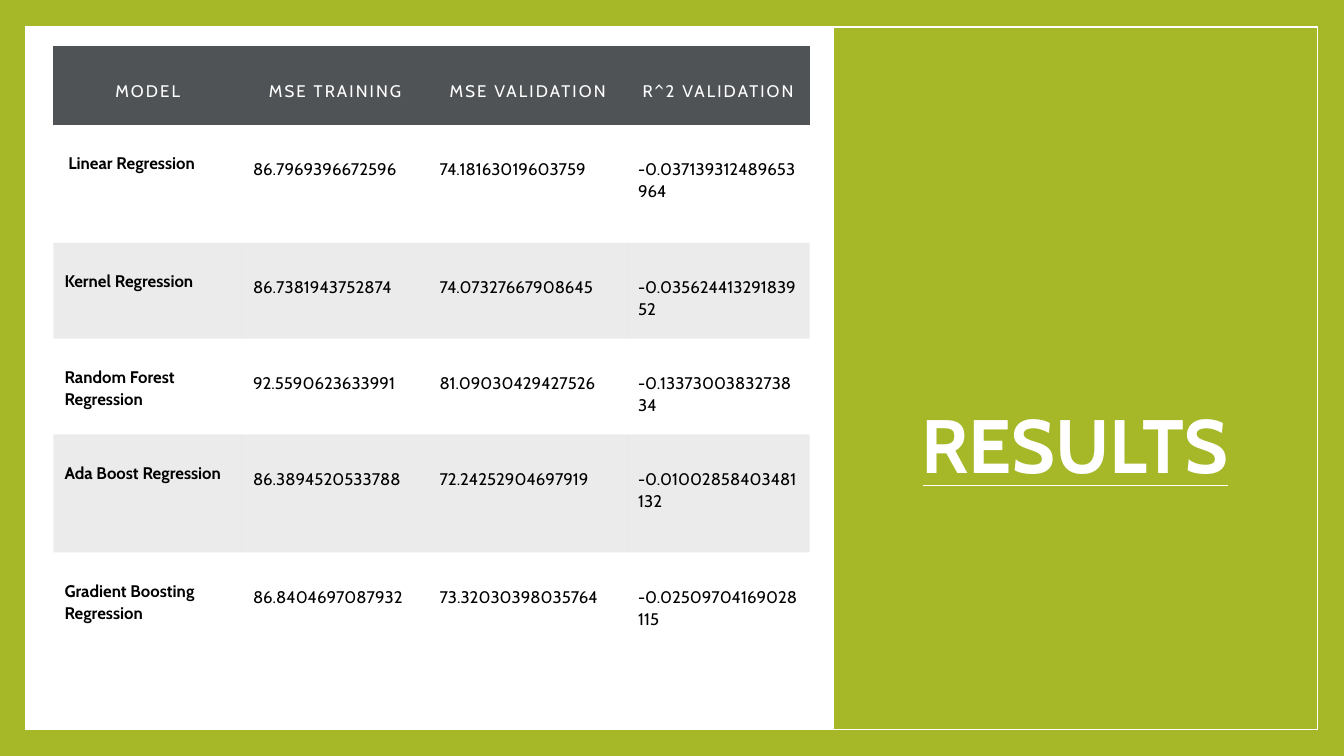
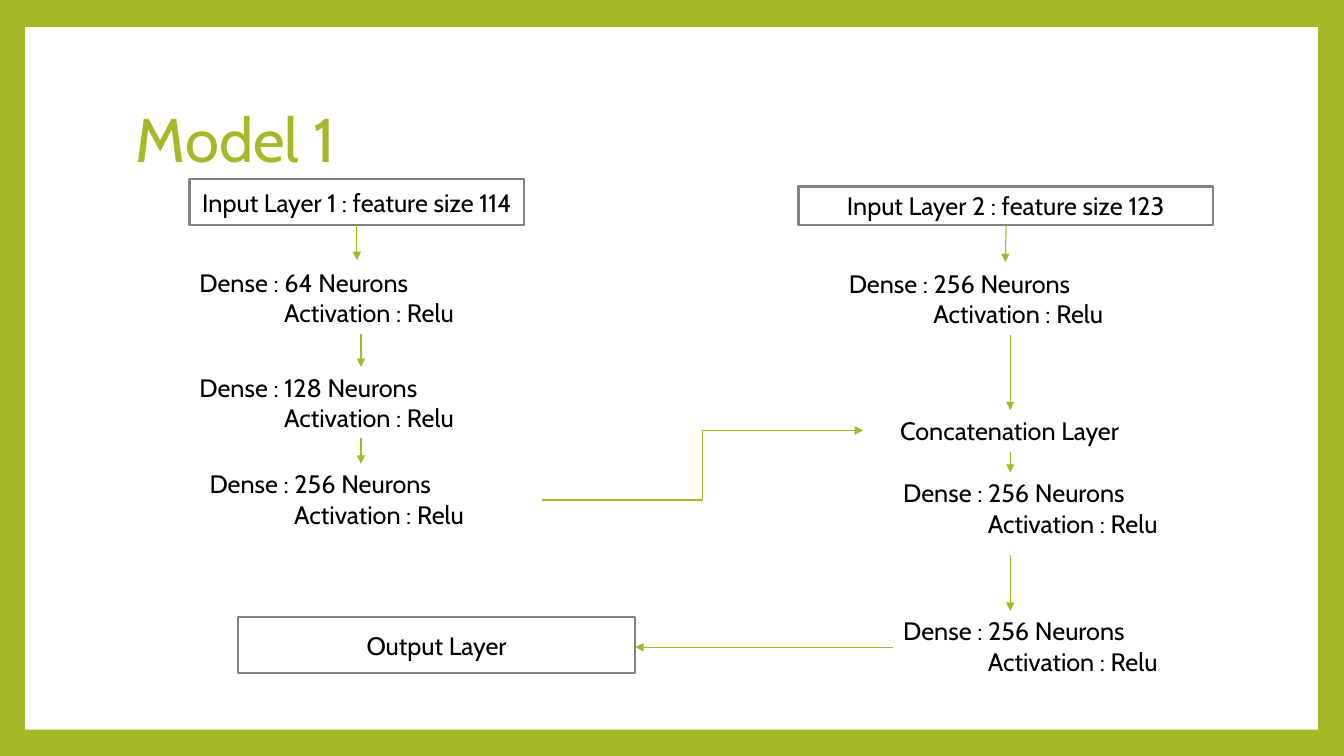
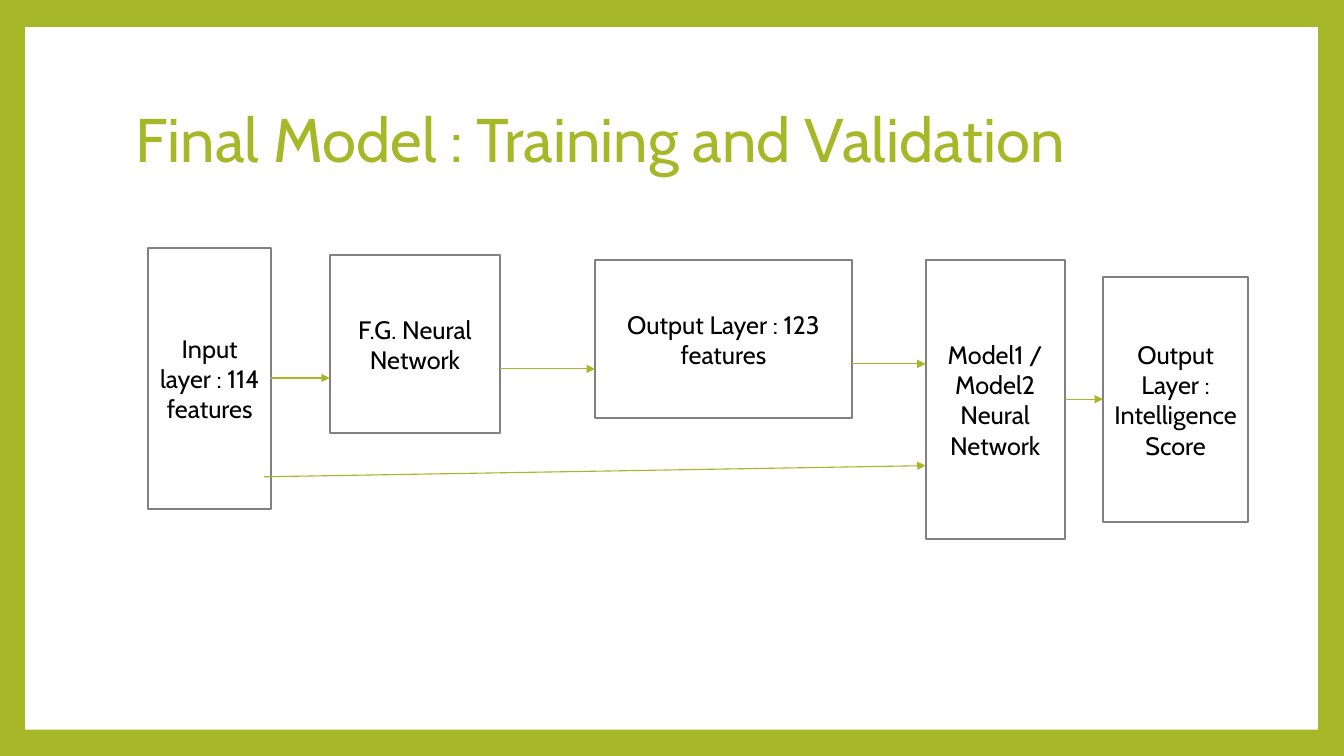
from lxml import etree
from pptx import Presentation
from pptx import util as u
from pptx.dml import color
from pptx.enum import shapes, text
from pptx.oxml import ns

FONT = "Cabin"
GREEN, WHITE, BLACK, GREY, SLATE = "A6B727", "FFFFFF", "000000", "818183", "505356"
FRAME = (0.25, 0.27, 12.82, 6.97)
NO_STYLE = "{2D5ABB26-0587-4C30-8999-92F81FD0307C}"
CENTER = text.PP_ALIGN.CENTER
MIDDLE = text.MSO_ANCHOR.MIDDLE

HEADERS = ["MODEL", "MSE TRAINING", "MSE VALIDATION", "R^2 VALIDATION"]
RESULTS = [
    [" Linear Regression", "86.7969396672596", "74.18163019603759", "-0.037139312489653964"],
    ["Kernel Regression", "86.7381943752874", "74.07327667908645", "-0.03562441329183952"],
    ["Random Forest Regression", "92.5590623633991", "81.09030429427526", "-0.1337300383273834"],
    ["Ada Boost Regression", "86.3894520533788", "72.24252904697919", "-0.01002858403481132"],
    ["Gradient Boosting Regression", "86.8404697087932", "73.32030398035764", "-0.02509704169028115"],
]


def rgb(value):
    return color.RGBColor.from_string(value)


def inches(values):
    return [u.Inches(value) for value in values]


def within(box, left, top, width, height):
    return box[0] + left, box[1] + top, width, height


def style(text_frame, size, ink, bold=False, align=None, spacing=None, tracking=None):
    for paragraph in text_frame.paragraphs:
        paragraph.alignment = align
        paragraph.line_spacing = spacing
        for run in paragraph.runs:
            run.font.name = FONT
            run.font.size = u.Pt(size)
            run.font.bold = bold
            run.font.color.rgb = rgb(ink)
            if tracking:
                run.font._element.set("spc", str(tracking))


def add_rectangle(slide, box, fill=None, line=None, width=1):
    shape = slide.shapes.add_shape(shapes.MSO_SHAPE.RECTANGLE, *inches(box))
    shape.shadow.inherit = False
    if fill:
        shape.fill.solid()
        shape.fill.fore_color.rgb = rgb(fill)
    else:
        shape.fill.background()
    if line:
        shape.line.color.rgb = rgb(line)
        shape.line.width = u.Pt(width)
    else:
        shape.line.fill.background()
    return shape


def add_node(slide, box, label):
    shape = add_rectangle(slide, box, WHITE, GREY, 1.5)
    shape.text_frame.word_wrap = True
    shape.text_frame.vertical_anchor = MIDDLE
    shape.text_frame.text = label
    style(shape.text_frame, 18, BLACK, align=CENTER)


def add_text(slide, box, content, size, ink, anchor=text.MSO_ANCHOR.TOP, **options):
    text_frame = slide.shapes.add_textbox(*inches(box)).text_frame
    text_frame.word_wrap = True
    text_frame.vertical_anchor = anchor
    text_frame.text = content
    style(text_frame, size, ink, **options)
    return text_frame


def indent(paragraph, length):
    paragraph._p.get_or_add_pPr().set("marL", str(u.Inches(length)))


def add_line(slide, start, end, ink=GREEN, kind=shapes.MSO_CONNECTOR.STRAIGHT, arrow=True):
    connector = slide.shapes.add_connector(kind, *inches((*start, *end)))
    connector.line.color.rgb = rgb(ink)
    connector.line.width = u.Pt(0.79)
    if arrow:
        etree.SubElement(connector.line._get_or_add_ln(), ns.qn("a:tailEnd"), type="triangle")
    etree.SubElement(connector._element.spPr, ns.qn("a:effectLst"))


def add_arrow(slide, box, start, end, **options):
    left, top = box[:2]
    add_line(slide, (left + start[0], top + start[1]), (left + end[0], top + end[1]), **options)


def add_content_slide(presentation, title):
    slide = presentation.slides.add_slide(presentation.slide_layouts[6])
    add_rectangle(slide, FRAME, WHITE)
    add_text(slide, within(FRAME, 1, 0.4, 10.8, 1.48), title, 44, GREEN, MIDDLE, spacing=0.9)
    return slide


def fill_cell(cell, value, row, column):
    cell.margin_left = cell.margin_right = cell.margin_bottom = u.Inches(0.11)
    cell.margin_top = u.Inches(0.27 if row and column == 0 else 0.33)
    cell.text = value
    if row == 0:
        cell.fill.solid()
        cell.fill.fore_color.rgb = rgb(SLATE)
        style(cell.text_frame, 12, WHITE, align=CENTER, spacing=1.07, tracking=150)
        return
    style(cell.text_frame, 12, BLACK, bold=column == 0, spacing=1.07)
    if row % 2:
        cell.fill.background()
    else:
        cell.fill.solid()
        cell.fill.fore_color.rgb = rgb(BLACK)
        ink = cell._tc.tcPr.find(".//" + ns.qn("a:srgbClr"))
        etree.SubElement(ink, ns.qn("a:alpha"), val="8000")


def add_results_table(slide, box):
    rows = [HEADERS] + RESULTS
    table = slide.shapes.add_table(len(rows), len(HEADERS), *inches(box)).table
    table.first_row = table.horz_banding = False
    table._tbl.tblPr.find(ns.qn("a:tableStyleId")).text = NO_STYLE
    for column, width in zip(table.columns, [1.87, 1.85, 1.97, 1.81]):
        column.width = u.Inches(width)
    for row, height in zip(table.rows, [0.78, 1.17, 0.95, 0.95, 1.17, 1.17]):
        row.height = u.Inches(height)
    for row, values in enumerate(rows):
        for column, value in enumerate(values):
            fill_cell(table.cell(row, column), value, row, column)


def add_title_panel(slide, box, title):
    add_rectangle(slide, box, GREEN, WHITE)
    add_text(slide, within(box, 0.7, 0.67, 3.4, 3.96), title, 54, WHITE,
             text.MSO_ANCHOR.BOTTOM, bold=True, align=CENTER, spacing=0.85)
    add_arrow(slide, box, (0.89, 4.55), (3.92, 4.55), ink=WHITE, arrow=False)


def add_results_slide(presentation):
    slide = presentation.slides.add_slide(presentation.slide_layouts[6])
    add_rectangle(slide, FRAME, WHITE, WHITE)
    add_title_panel(slide, within(FRAME, 8.01, 0, 4.81, 6.97), "RESULTS")
    add_rectangle(slide, FRAME, line=WHITE)
    add_results_table(slide, within(FRAME, 0.28, 0.19, 7.5, 6.19))


def add_dense_layer(slide, box, neurons):
    content = f"Dense : {neurons} Neurons\nActivation : Relu"
    text_frame = add_text(slide, box, content, 18, BLACK)
    indent(text_frame.paragraphs[1], 0.84)


def add_layer_diagram(slide, box):
    for label, *place in [
        ("Input Layer 1 : feature size 114", 1.63, 1.51, 3.32, 0.45),
        ("Input Layer 2 : feature size 123", 7.67, 1.58, 4.11, 0.38),
        ("Output Layer", 2.11, 5.85, 3.94, 0.56),
    ]:
        add_node(slide, within(box, *place), label)
    for neurons, left, top in [
        (64, 1.63, 2.33), (128, 1.63, 3.37), (256, 1.73, 4.33),
        (256, 8.07, 2.34), (256, 8.61, 4.42), (256, 8.61, 5.79),
    ]:
        add_dense_layer(slide, within(box, left, top, 3.4, 0.71), neurons)
    concatenation = add_text(slide, within(box, 8.31, 3.8, 2.92, 0.4),
                             "Concatenation Layer", 18, BLACK)
    indent(concatenation.paragraphs[0], 0.27)
    for start, end in [
        ((3.29, 1.96), (3.29, 2.31)), ((3.33, 3.04), (3.33, 3.37)),
        ((3.33, 4.08), (3.33, 4.33)), ((9.73, 1.96), (9.72, 2.33)),
        ((9.77, 3.05), (9.77, 3.8)), ((9.77, 4.21), (9.77, 4.42)),
        ((9.77, 5.24), (9.77, 5.79)), ((8.61, 6.15), (6.05, 6.15)),
    ]:
        add_arrow(slide, box, start, end)
    add_arrow(slide, box, (5.13, 4.69), (8.31, 4), kind=shapes.MSO_CONNECTOR.ELBOW)


def add_pipeline(slide, box):
    stages = [
        ("Input layer : 114 features", 1.22, 2.19, 1.22, 2.59),
        ("F.G. Neural Network", 3.02, 2.26, 1.69, 1.77),
        ("Output Layer : 123 features", 5.65, 2.31, 2.55, 1.57),
        ("Model1 / Model2 Neural Network", 8.93, 2.31, 1.38, 2.77),
        ("Output Layer : Intelligence Score", 10.69, 2.48, 1.44, 2.43),
    ]
    for label, *place in stages:
        add_node(slide, within(box, *place), label)
    for stage, following, level in zip(stages, stages[1:], [3.48, 3.39, 3.34, 3.69]):
        add_arrow(slide, box, (stage[1] + stage[3], level), (following[1], level))
    add_arrow(slide, box, (2.37, 4.46), (8.93, 4.35))


presentation = Presentation()
presentation.slide_width, presentation.slide_height = inches((13.33, 7.5))
background = presentation.slide_master.background.fill
background.solid()
background.fore_color.rgb = rgb(GREEN)

add_results_slide(presentation)
add_layer_diagram(add_content_slide(presentation, "Model 1"), FRAME)
add_pipeline(add_content_slide(presentation, "Final Model : Training and Validation"), FRAME)
presentation.save("out.pptx")
